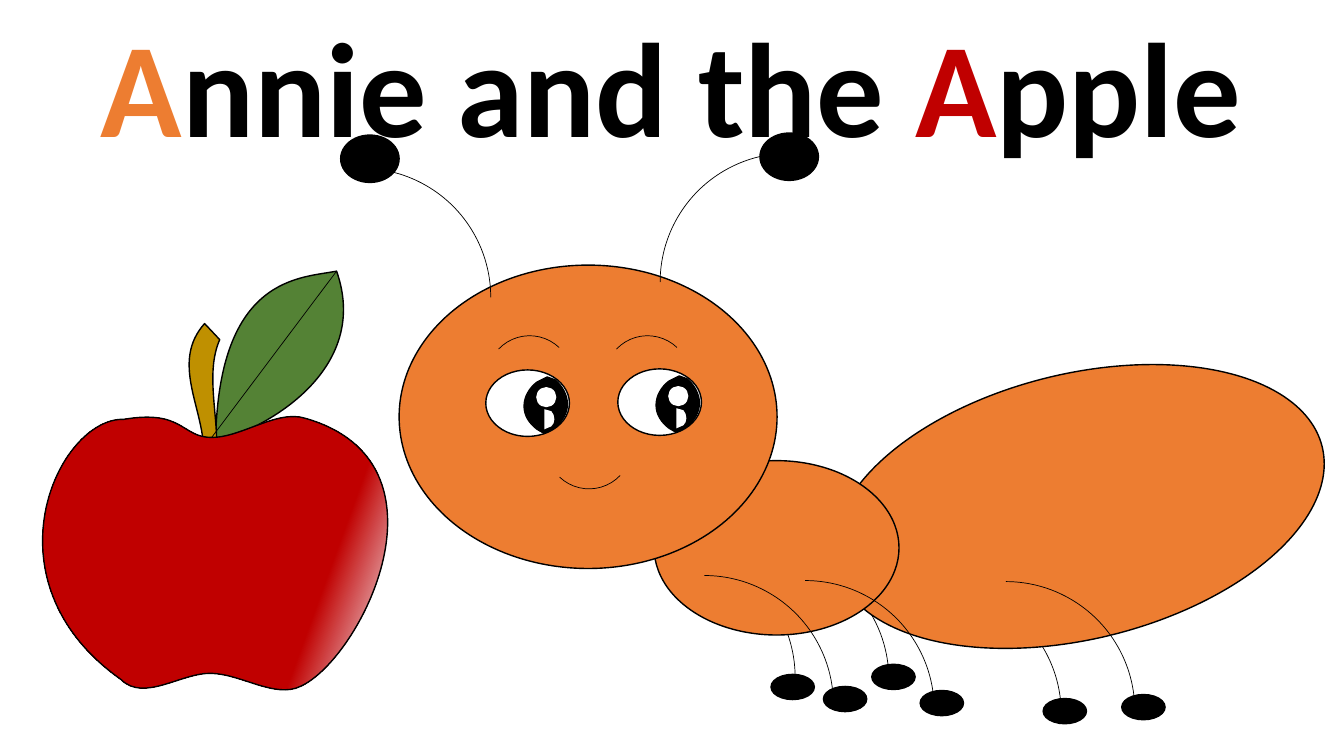
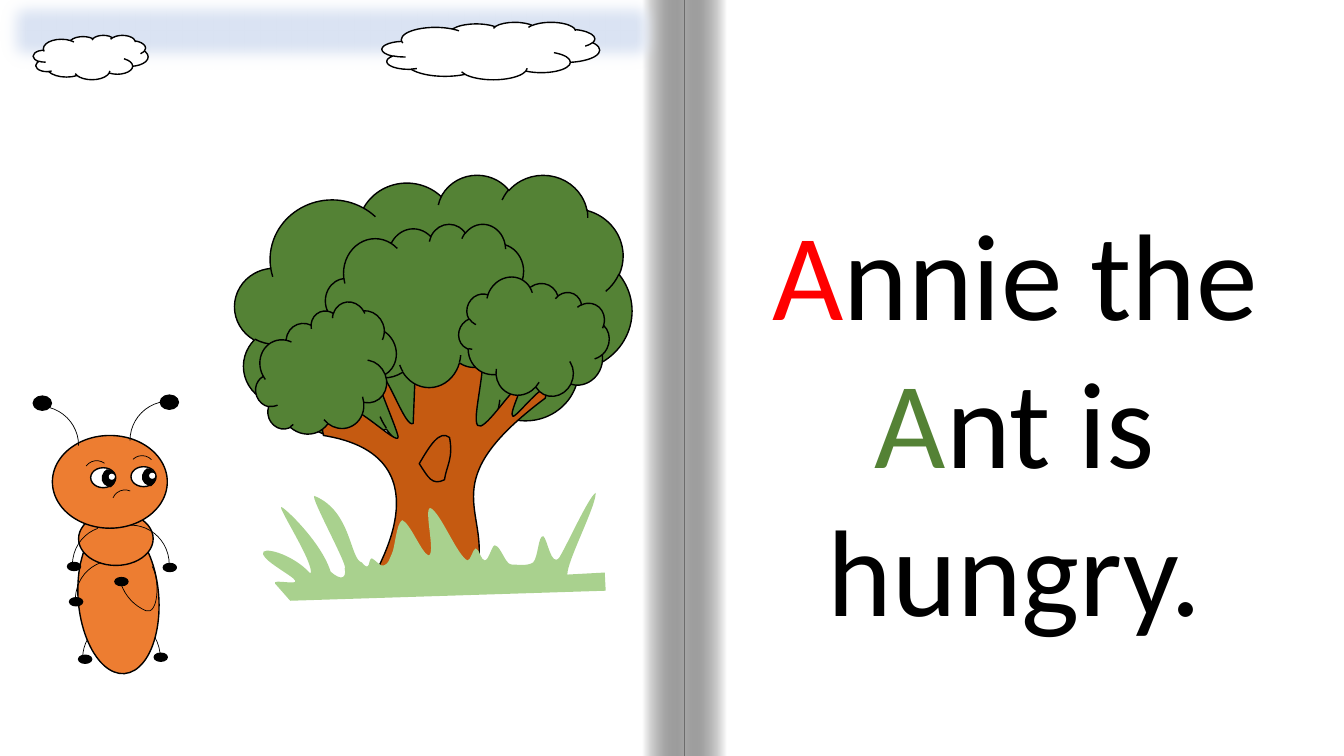
import math

import pptx
import pptx.util
import pptx.dml.color
import pptx.enum.shapes
import pptx.enum.text
import pptx.oxml.ns
from lxml import etree

RGBColor = pptx.dml.color.RGBColor
SHAPE = pptx.enum.shapes.MSO_SHAPE
qualified = pptx.oxml.ns.qn

BLACK = RGBColor(0x00, 0x00, 0x00)
WHITE = RGBColor(0xFF, 0xFF, 0xFF)
ANT_ORANGE = RGBColor(0xED, 0x7D, 0x31)
APPLE_RED = RGBColor(0xC0, 0x00, 0x00)
APPLE_SHINE = RGBColor(0xF6, 0xF8, 0xFC)
LETTER_RED = RGBColor(0xFF, 0x00, 0x00)
LEAF_GREEN = RGBColor(0x54, 0x82, 0x35)
GRASS_GREEN = RGBColor(0xA9, 0xD1, 0x8E)
STEM_BROWN = RGBColor(0xBF, 0x90, 0x00)
TRUNK_BROWN = RGBColor(0xC5, 0x5A, 0x11)
SKY_BLUE = RGBColor(0xDA, 0xE3, 0xF3)

FONT = "Calibri"
OUTLINE, THIN = 1, 0.5
CURVE_STEPS = 40

# Outlines: a pair is a straight step, six numbers are a Bezier curve.
LEAF = [(2.14, 4.37), (2.17, 2.73, 2.99, 2.76, 3.34, 2.69),
        (3.71, 3.74, 2.48, 4.32, 2.14, 4.37)]
STEM = [(2.03, 3.21), (2.18, 3.37), (2.04, 3.69, 2.16, 4.09, 2.15, 4.46),
        (2.02, 4.47), (2.02, 4.05, 1.69, 3.59, 2.03, 3.21)]
APPLE = [(1.23, 4.16), (1.82, 4.06, 1.8, 4.34, 2.1, 4.34),
         (2.4, 4.34, 2.75, 4.06, 3.03, 4.15), (4.56, 4.59, 3.58, 6.54, 2.98, 6.81),
         (2.73, 6.93, 2.4, 6.69, 2.1, 6.68), (1.8, 6.67, 1.43, 6.97, 1.2, 6.74),
         (-0.19, 5.76, 0.58, 4.14, 1.23, 4.16)]
PUPIL = [(0.61, 0.07), (0.69, 0.1), (0.76, 0.16, 0.81, 0.25, 0.81, 0.34),
         (0.81, 0.43, 0.76, 0.51, 0.69, 0.57), (0.58, 0.63), (0.51, 0.59),
         (0.43, 0.53, 0.38, 0.45, 0.38, 0.36), (0.38, 0.27, 0.43, 0.18, 0.51, 0.12),
         (0.61, 0.07)]
GLEAM = [(0.58, 0.39), (0.65, 0.41), (0.67, 0.43, 0.68, 0.46, 0.68, 0.49),
         (0.68, 0.52, 0.67, 0.54, 0.65, 0.56), (0.58, 0.59), (0.58, 0.39)]
BENT_ARM = [(1.51, 5.62), (1.59, 5.76, 1.57, 6.1, 1.45, 6.06),
            (1.33, 6.01, 1.24, 5.91, 1.2, 5.79)]
TRUNK = [(4.13, 3.44), (4.74, 3.44), (4.88, 3.48, 4.67, 4.15, 4.74, 4.22),
         (4.8, 4.29, 5.05, 3.89, 5.14, 3.84), (5.22, 3.79, 5.04, 4.11, 5.09, 4.13),
         (5.13, 4.14, 5.49, 3.66, 5.41, 3.95), (4.3, 4.78, 4.85, 5.04, 4.74, 5.63),
         (3.76, 5.63), (3.71, 5.66, 4.45, 4.52, 3.21, 4.32),
         (3.15, 4.06, 3.3, 4.09, 3.39, 4.09), (3.42, 3.88, 3.97, 4.46, 3.95, 4.33),
         (3.92, 4.2, 3.69, 3.7, 3.75, 3.71), (3.83, 3.65, 4.02, 4.26, 4.1, 4.2),
         (4.13, 3.44)]
GRASS = [(2.73, 5.79), (2.7, 5.74, 2.96, 5.81, 2.93, 5.76),
         (2.9, 5.71, 2.64, 5.58, 2.61, 5.5), (2.58, 5.41, 2.9, 5.49, 3.08, 5.69),
         (3.13, 5.61, 2.76, 5.04, 2.79, 5.03), (2.82, 5.03, 3.19, 5.38, 3.28, 5.67),
         (3.39, 5.77, 3.44, 5.73, 3.42, 5.64), (3.47, 5.64, 3.07, 4.92, 3.12, 4.92),
         (3.49, 5.07, 3.47, 5.55, 3.59, 5.58), (3.68, 5.69, 3.65, 5.54, 3.69, 5.54),
         (3.72, 5.55, 3.78, 5.63, 3.81, 5.61), (3.86, 5.59, 3.86, 5.55, 3.89, 5.49),
         (3.92, 5.43, 3.93, 5.2, 3.99, 5.16), (4.07, 5.19, 4.18, 5.48, 4.25, 5.51),
         (4.33, 5.51, 4.2, 5.04, 4.27, 5.04), (4.37, 5.08, 4.54, 5.52, 4.64, 5.56),
         (4.67, 5.56, 4.69, 5.45, 4.72, 5.44), (4.76, 5.45, 4.77, 5.56, 4.81, 5.56),
         (4.85, 5.56, 4.88, 5.41, 4.91, 5.41), (4.97, 5.42, 5.01, 5.59, 5.07, 5.6),
         (5.13, 5.6, 5.23, 5.62, 5.29, 5.58), (5.34, 5.53, 5.34, 5.31, 5.39, 5.32),
         (5.43, 5.34, 5.47, 5.64, 5.55, 5.53), (5.62, 5.42, 5.84, 4.93, 5.91, 4.89),
         (5.92, 5.01, 5.62, 5.58, 5.63, 5.7), (6, 5.68), (6.01, 5.86), (2.88, 5.96),
         (2.73, 5.79)]
KNOTHOLE = [(4.16, 4.6), (4.26, 4.43, 4.36, 4.26, 4.46, 4.34),
            (4.5, 4.55, 4.43, 4.62, 4.41, 4.76), (4.29, 4.82, 4.25, 4.74, 4.16, 4.6)]


def grid(value):
    """Length of a number of layout units, each 2.54 cm."""
    return pptx.util.Cm(value * 2.54)


def add_xml(parent, tag, **attributes):
    return etree.SubElement(parent, qualified(tag), attributes)


def paint(shape, fill=None, line=OUTLINE, line_color=BLACK):
    shape.shadow.inherit = False
    if fill is None:
        shape.fill.background()
    else:
        shape.fill.solid()
        shape.fill.fore_color.rgb = fill
    if line:
        shape.line.color.rgb = line_color
        shape.line.width = pptx.util.Pt(line)
    else:
        shape.line.fill.background()
    return shape


def paint_gradient(shape, stops, clockwise_angle):
    shape.fill.gradient()
    shape.fill.gradient_angle = 360 - clockwise_angle
    for stop, (position, color) in zip(shape.fill.gradient_stops, stops):
        stop.position = position
        stop.color.rgb = color


def add_preset(slide, preset, box, fill=None, line=OUTLINE, rotation=0, flip=None,
               line_color=BLACK):
    shape = slide.shapes.add_shape(preset, *map(grid, box))
    shape.rotation = rotation
    if flip:
        shape._element.spPr.xfrm.set(flip, "1")
    return paint(shape, fill, line, line_color)


def add_oval(slide, box, fill=ANT_ORANGE, **options):
    return add_preset(slide, SHAPE.OVAL, box, fill, **options)


def add_arc(slide, left, top, size, height=None, **options):
    return add_preset(slide, SHAPE.ARC, (left, top, size, height or size),
                      line=THIN, **options)


def add_dots(slide, size, corners):
    """Black feet, hands or antenna tips of one size."""
    for corner in corners:
        add_oval(slide, (*corner, *size), BLACK)


def add_page(slide, box):
    add_preset(slide, SHAPE.RECTANGLE, box, WHITE, line=0)


def turn(point, degrees):
    """Turn a point clockwise about the slide's corner."""
    cosine, sine = math.cos(math.radians(degrees)), math.sin(math.radians(degrees))
    return point[0] * cosine - point[1] * sine, point[0] * sine + point[1] * cosine


def flatten(steps):
    """Points along the outline, from which its tight frame follows."""
    points = list(steps[0])
    for step in steps[1:]:
        controls = [points[-1], *step]
        degree = len(step)
        for index in range(1, CURVE_STEPS + 1):
            t = index / CURVE_STEPS
            weights = [math.comb(degree, k) * t ** k * (1 - t) ** (degree - k)
                       for k in range(degree + 1)]
            points.append(tuple(sum(weight * control[axis]
                                    for weight, control in zip(weights, controls))
                                for axis in (0, 1)))
    return points


def add_outline(slide, steps, fill=None, line=OUTLINE, origin=(0, 0), scale=1,
                rotation=0, close=True):
    """Draw steps given as they show; rotation is that of the shape's frame."""
    steps = [[turn((grid(origin[0] + x * scale), grid(origin[1] + y * scale)), -rotation)
              for x, y in zip(step[::2], step[1::2])] for step in steps]
    points = flatten(steps)
    builder = slide.shapes.build_freeform(*points[0], scale=1.0)
    builder.add_line_segments(points[1:], close=close)
    shape = builder.convert_to_shape()
    route = next(shape._element.iter(qualified("a:path")))
    for child in list(route):
        route.remove(child)
    for index, step in enumerate(steps):
        tag = "a:moveTo" if index == 0 else "a:lnTo" if len(step) == 1 else "a:cubicBezTo"
        command = add_xml(route, tag)
        for x, y in step:
            add_xml(command, "a:pt", x=str(round(x - shape.left)), y=str(round(y - shape.top)))
    if close:
        add_xml(route, "a:close")
    half_width, half_height = shape.width / 2, shape.height / 2
    center = turn((shape.left + half_width, shape.top + half_height), rotation)
    shape.left, shape.top = round(center[0] - half_width), round(center[1] - half_height)
    shape.rotation = rotation
    return paint(shape, fill, line)


def add_eye(slide, left, top, glint, scale=1, rotation=0):
    add_oval(slide, (left, top, 0.83 * scale, 0.66 * scale), WHITE)
    pupil = add_outline(slide, PUPIL, BLACK, origin=(left, top), scale=scale)
    pupil.rotation = rotation
    add_oval(slide, (left + glint[0] * scale, top + glint[1] * scale,
                     0.2 * scale, 0.2 * scale), WHITE, line=0)


def add_words(slide, box, size, runs, bold=False):
    text_frame = slide.shapes.add_textbox(*map(grid, box)).text_frame
    text_frame.word_wrap = True
    text_frame.auto_size = pptx.enum.text.MSO_AUTO_SIZE.SHAPE_TO_FIT_TEXT
    paragraph = text_frame.paragraphs[0]
    paragraph.alignment = pptx.enum.text.PP_ALIGN.CENTER
    for text, color in runs:
        run = paragraph.add_run()
        run.text = text
        run.font.name = FONT
        run.font.size = pptx.util.Pt(size)
        run.font.bold = bold
        run.font.color.rgb = color


def add_apple(slide):
    add_outline(slide, LEAF, LEAF_GREEN, rotation=313.1)
    add_outline(slide, STEM, STEM_BROWN, rotation=354.2)
    apple = add_outline(slide, APPLE, APPLE_RED)
    paint_gradient(apple, [(0, APPLE_SHINE), (0.23, APPLE_RED)], 200)
    vein = slide.shapes.add_connector(pptx.enum.shapes.MSO_CONNECTOR.STRAIGHT,
                                      *map(grid, (3.34, 2.69, 2.1, 4.34)))
    vein.line.color.rgb = BLACK
    vein.line.width = pptx.util.Pt(THIN)
    add_xml(vein._element.spPr, "a:effectLst")


def add_walking_ant(slide):
    limb = 2.56
    for left, top in [(5.33, 5.44), (6.26, 5.46), (7.97, 5.8)]:
        add_arc(slide, left, top, limb)
    add_oval(slide, (8.22, 3.71, 4.97, 2.63), rotation=346.2)
    add_oval(slide, (6.49, 4.57, 2.43, 1.73))
    add_oval(slide, (3.96, 2.63, 3.75, 3.01))
    for left, top in [(8.7, 5.77), (6.71, 5.76), (5.71, 5.71), (2.31, 1.67)]:
        add_arc(slide, left, top, limb)
    add_arc(slide, 6.55, 1.52, limb, flip="flipH")
    add_dots(slide, (0.58, 0.47), [(7.54, 1.32), (3.38, 1.34)])
    add_dots(slide, (0.43, 0.25), [(7.65, 6.69), (8.17, 6.81), (8.65, 6.59),
                                   (9.13, 6.85), (10.35, 6.93), (11.13, 6.89)])
    for left in (6, 4.83):
        add_arc(slide, left, 3.33, 0.85, rotation=43.5, flip="flipH")
    for left, top in [(6.13, 3.66), (4.82, 3.67)]:
        add_eye(slide, left, top, (0.5, 0.17))
        add_outline(slide, GLEAM, WHITE, line=0, origin=(left, top), rotation=90)
    add_arc(slide, 5.42, 4, 0.85, rotation=43.5, flip="flipV")


def add_standing_ant(slide):
    limb, hand = 0.78, (0.13, 0.08)
    add_arc(slide, 0.82, 6.14, limb, flip="flipH")
    add_arc(slide, 0.81, 6.13, limb)
    add_oval(slide, (0.42, 5.53, 1.51, 0.8), rotation=85.5)
    add_oval(slide, (0.78, 5.08, 0.74, 0.53))
    add_oval(slide, (0.52, 4.32, 1.14, 0.92))
    add_arc(slide, 0.92, 5.21, 0.76, limb)
    add_arc(slide, 1.29, 3.98, limb, flip="flipH")
    add_arc(slide, 0, 4.03, limb)
    add_dots(slide, (0.18, 0.14), [(1.59, 3.92), (0.33, 3.93)])
    add_dots(slide, hand, [(1.62, 5.59), (1.53, 6.48), (0.78, 6.5)])
    add_arc(slide, 1.28, 4.52, 0.26, rotation=45.9, flip="flipH")
    add_arc(slide, 0.83, 4.57, 0.26, rotation=36.4, flip="flipH")
    for left, top in [(1.3, 4.63), (0.9, 4.64)]:
        add_eye(slide, left, top, (0.6, 0.2), scale=0.3, rotation=345)
    add_arc(slide, 1.11, 4.86, 0.26, rotation=203.3, flip="flipV")
    for left, top in [(0.72, 5.22), (0.75, 5.56)]:
        arm = add_arc(slide, left, top, 0.76, limb, rotation=340.4, flip="flipH")
        arm.adjustments[1] = 204.02
    add_outline(slide, BENT_ARM, line=THIN, rotation=165, close=False)
    add_dots(slide, hand, [(0.67, 5.58), (1.14, 5.73), (0.69, 5.93)])


def add_cloud(slide, box, fill, rotation=0):
    add_preset(slide, SHAPE.CLOUD, box, fill, rotation=rotation)


def add_tree(slide):
    add_cloud(slide, (2.33, 1.73, 3.94, 2.78), LEAF_GREEN)
    add_outline(slide, TRUNK, TRUNK_BROWN)
    for box, rotation in [((3.23, 2.22, 2.01, 1.62), 0), ((4.56, 2.78, 1.46, 1.17), 26.5),
                          ((2.51, 3.11, 1.46, 1.17), 338.5)]:
        add_cloud(slide, box, LEAF_GREEN, rotation)
    add_outline(slide, GRASS, GRASS_GREEN, line=0, rotation=356.8)
    add_outline(slide, KNOTHOLE)


def add_book_fold(slide):
    for left, flip in [(6.79, None), (6.37, "flipH")]:
        band = add_preset(slide, SHAPE.RECTANGLE, (left, 0, 0.42, 7.5), line=0, flip=flip)
        paint_gradient(band, [(0, WHITE), (1, BLACK)], 180)
        dark = list(band._element.spPr.iter(qualified("a:srgbClr")))[-1]
        add_xml(dark, "a:alpha", val="34000")


def add_sky(slide):
    sky = add_preset(slide, SHAPE.RECTANGLE, (-0.05, -0.12, 6.67, 0.85), SKY_BLUE,
                     line_color=SKY_BLUE)
    effects = sky._element.spPr.find(qualified("a:effectLst"))
    add_xml(effects, "a:softEdge", rad=str(pptx.util.Pt(12.5)))
    for box in [(0.33, 0.35, 1.14, 0.44), (3.79, 0.22, 2.16, 0.57)]:
        add_cloud(slide, box, WHITE)


def main():
    presentation = pptx.Presentation()
    presentation.slide_width = pptx.util.Cm(33.87)
    presentation.slide_height = pptx.util.Cm(19.05)
    cover, story = (presentation.slides.add_slide(presentation.slide_layouts[6])
                    for _ in range(2))
    add_page(cover, (0, 0.11, 6.77, 7.5))
    add_words(cover, (0.14, -0.02, 13.04, 1.72), 96,
              [("A", ANT_ORANGE), ("nnie and the ", BLACK),
               ("A", APPLE_RED), ("pple", BLACK)], bold=True)
    add_apple(cover)
    add_walking_ant(cover)

    add_page(story, (0, 0, 6.37, 7.5))
    add_book_fold(story)
    add_standing_ant(story)
    add_words(story, (6.63, 1.91, 6.88, 4.54), 88,
              [("A", LETTER_RED), ("nnie the ", BLACK),
               ("A", LEAF_GREEN), ("nt is hungry.", BLACK)])
    add_tree(story)
    add_sky(story)
    presentation.save("out.pptx")


if __name__ == "__main__":
    main()
